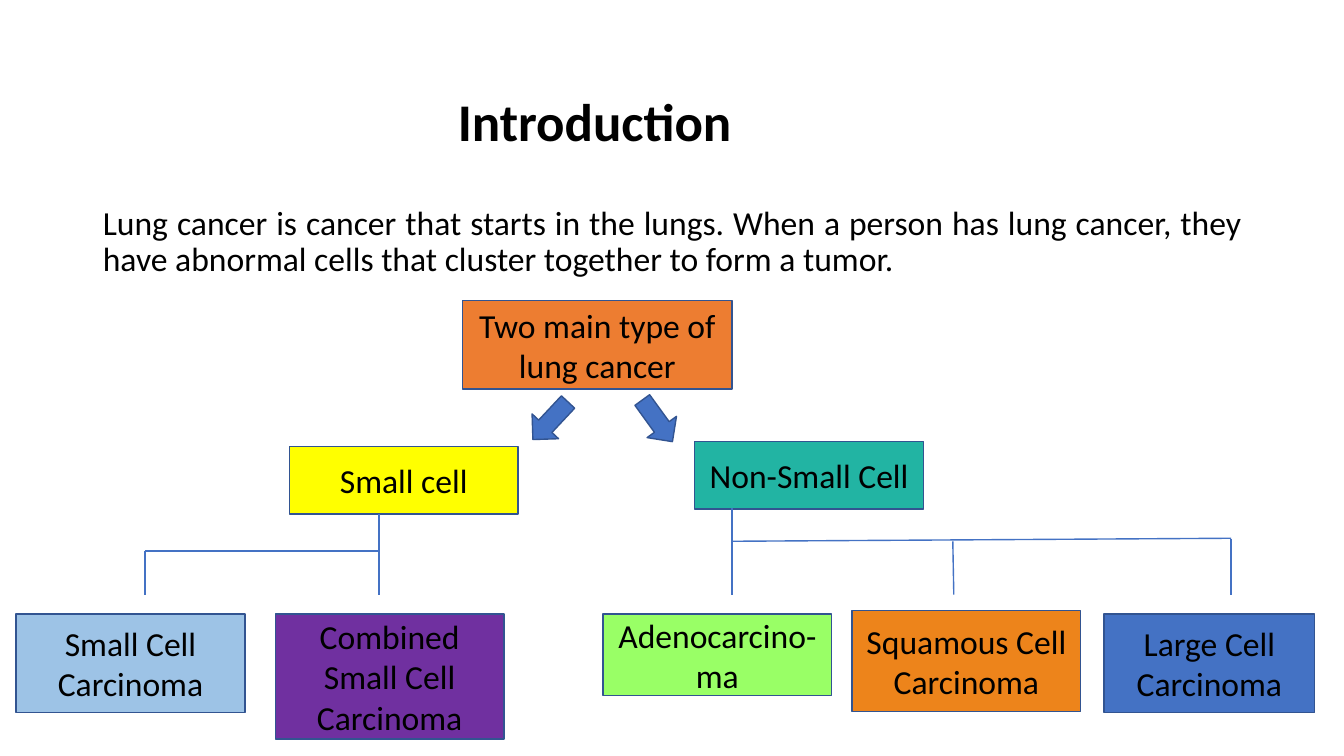
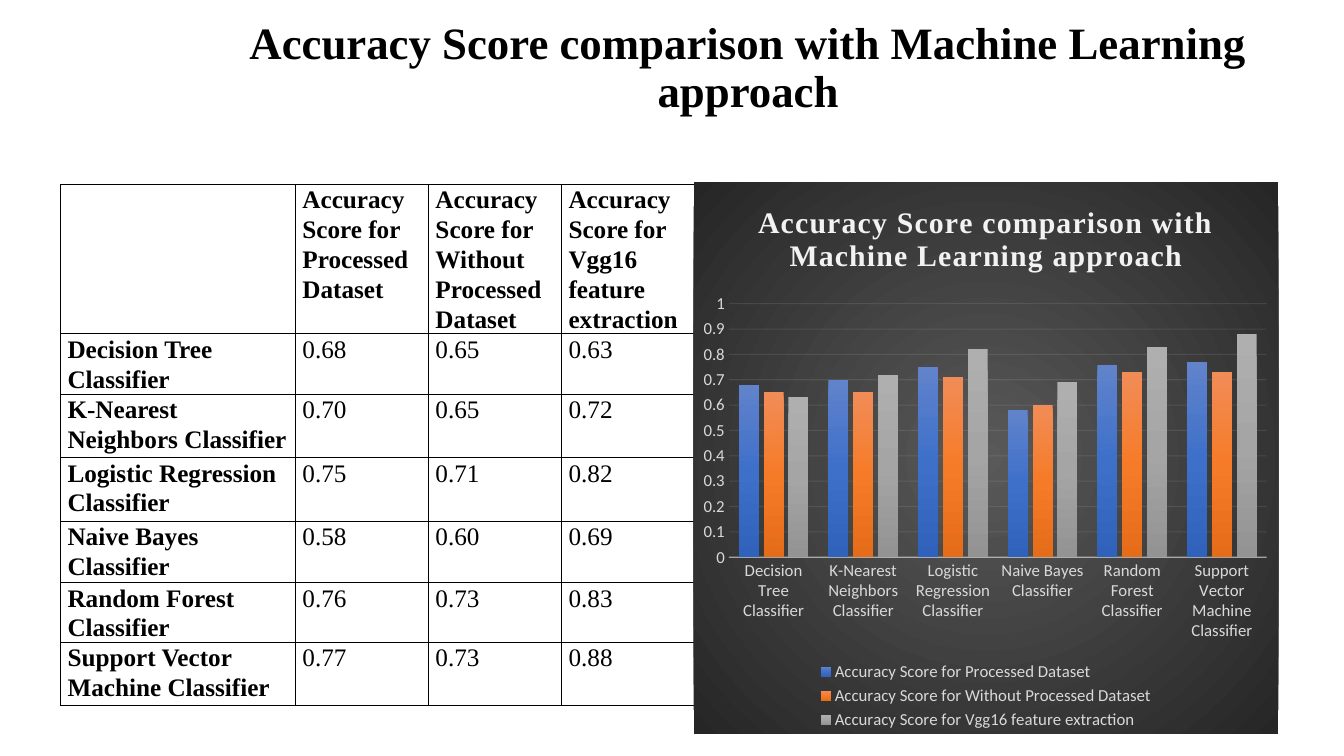
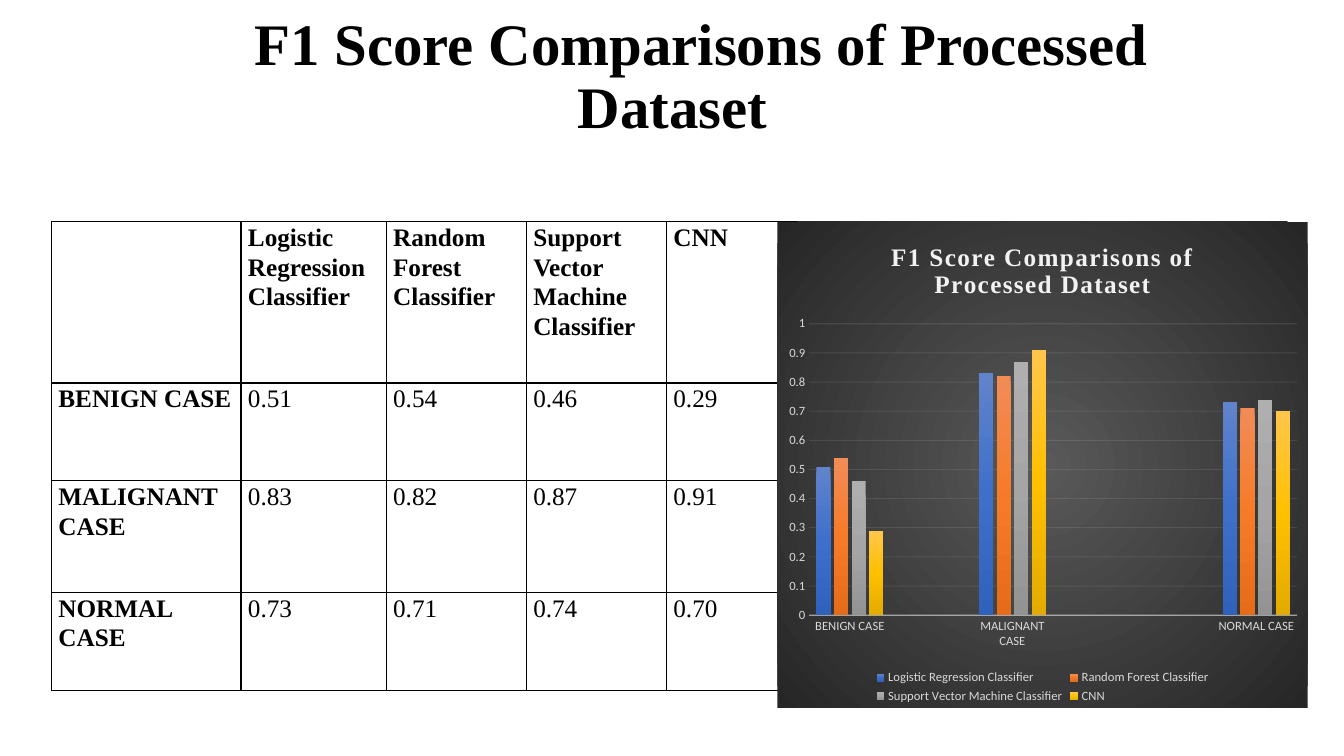
from dataclasses import dataclass

from lxml import etree
from pptx import Presentation
from pptx.chart.data import CategoryChartData
from pptx.dml.color import RGBColor
from pptx.enum.chart import XL_CHART_TYPE, XL_LEGEND_POSITION, XL_TICK_MARK
from pptx.enum.shapes import MSO_CONNECTOR, MSO_SHAPE
from pptx.enum.text import MSO_ANCHOR, MSO_AUTO_SIZE, PP_ALIGN
from pptx.oxml import parse_xml
from pptx.oxml.ns import nsdecls, qn
from pptx.util import Inches, Pt

RECT, DOWN_ARROW = MSO_SHAPE.RECTANGLE, MSO_SHAPE.DOWN_ARROW
STRAIGHT = MSO_CONNECTOR.STRAIGHT
LEFT, CENTER, JUSTIFY = PP_ALIGN.LEFT, PP_ALIGN.CENTER, PP_ALIGN.JUSTIFY
TOP, MIDDLE = MSO_ANCHOR.TOP, MSO_ANCHOR.MIDDLE
NO_FIT = MSO_AUTO_SIZE.NONE
COLUMNS, BOTTOM = XL_CHART_TYPE.COLUMN_CLUSTERED, XL_LEGEND_POSITION.BOTTOM
NO_TICK = XL_TICK_MARK.NONE


@dataclass(frozen=True)
class Theme:
    sans: str = "Calibri"
    serif: str = "Times New Roman"
    ink: str = "000000"
    blue: str = "4472C4"
    outline: str = "325491"
    chart_text: str = "D9D9D9"
    chart_title: str = "F2F2F2"
    chart_line: str = "F2F2F2"
    backdrop: tuple = ("595959", "262626")
    series: tuple = (
        ("6183CB", "3E70CA", "3062BB"),
        ("F18C57", "F67B28", "E56C19"),
        ("AFAFAF", "A5A5A5", "939393"),
        ("FFC64B", "FFC000", "E3AB00"),
    )
    body: float = 24
    cell: float = 18


T = Theme()


def rgb(value):
    return RGBColor.from_string(value)


def assign(obj, **values):
    for name, value in values.items():
        setattr(obj, name, value)


def set_font(font, name, size, color=T.ink, bold=False):
    assign(font, name=name, size=Pt(size), bold=bold)
    font.color.rgb = rgb(color)


def inches(box):
    return [Inches(v) for v in box]


def place(sp, box):
    left, top, width, height = inches(box)
    assign(sp, left=left, top=top, width=width, height=height)


def write(tf, text, font, size, bold=False, align=LEFT, spacing=1.0):
    p = tf.paragraphs[0]
    assign(p, alignment=align, line_spacing=spacing)
    r = p.add_run()
    r.text = text
    set_font(r.font, name=font, size=size, bold=bold)
    return p


def fill_placeholder(sp, box, text, font, size, anchor=MIDDLE, **style):
    place(sp, box)
    assign(sp.text_frame, word_wrap=True, auto_size=NO_FIT, vertical_anchor=anchor)
    return write(sp.text_frame, text, font, size, spacing=0.9, **style)


def add_title(s, box, text, font, size, align=CENTER):
    return fill_placeholder(s.shapes.title, box, text, font, size, bold=True, align=align)


def add_body(s, box, text):
    p = fill_placeholder(s.placeholders[1], box, text, T.sans, T.body,
                         anchor=TOP, align=JUSTIFY)
    p.space_before = Pt(10)
    pPr = p._p.get_or_add_pPr()
    pPr.set("marL", "0")
    pPr.set("indent", "0")
    etree.SubElement(pPr, qn("a:buNone"))


def add_block(s, kind, box, fill, text="", rotation=0):
    sp = s.shapes.add_shape(kind, *inches(box))
    sp.shadow.inherit = False
    sp.rotation = rotation
    sp.fill.solid()
    sp.fill.fore_color.rgb = rgb(fill)
    sp.line.color.rgb = rgb(T.outline)
    sp.line.width = Pt(1)
    if text:
        sp.text_frame.word_wrap = True
        write(sp.text_frame, text, T.sans, T.body, align=CENTER)


def add_line(s, x1, y1, x2, y2, width=1.0):
    line = s.shapes.add_connector(STRAIGHT, *inches((x1, y1, x2, y2)))
    line.line.color.rgb = rgb(T.blue)
    line.line.width = Pt(width)
    etree.SubElement(line._element.spPr, qn("a:effectLst"))


def add_cancer_tree(s, left, top):
    boxes = [
        (4.43, 0, 2.67, 0.88, "ED7D31", "Two main type of lung cancer"),
        (2.71, 1.45, 2.27, 0.67, "FFFF00", "Small cell"),
        (6.73, 1.4, 2.27, 0.67, "22B4A3", "Non-Small Cell"),
        (0, 3.11, 2.27, 0.98, "9DC3E6", "Small Cell Carcinoma"),
        (2.57, 3.11, 2.27, 1.24, "7030A0", "Combined Small Cell Carcinoma"),
        (5.82, 3.11, 2.27, 0.81, "99FF66", "Adenocarcino-ma"),
        (8.29, 3.08, 2.27, 1, "ED841B", "Squamous Cell Carcinoma"),
        (10.79, 3.11, 2.09, 0.98, T.blue, "Large Cell Carcinoma"),
    ]
    for x, y, w, h, fill, text in boxes:
        add_block(s, RECT, (left + x, top + y, w, h), fill, text)
    for x, rotation in ((5.12, 43.1), (6.18, 324.1)):
        add_block(s, DOWN_ARROW, (left + x, top + 0.94, 0.36, 0.51), T.blue, rotation=rotation)
    branches = [
        (3.6, 2.12, 3.6, 2.92, 1.5),
        (3.6, 2.49, 1.28, 2.49, 1.5),
        (1.28, 2.49, 1.28, 2.92, 1),
        (7.1, 2.06, 7.1, 2.92, 1),
        (7.1, 2.39, 12.05, 2.36, 1),
        (9.29, 2.39, 9.3, 2.92, 1),
        (12.05, 2.37, 12.05, 2.92, 1),
    ]
    for x1, y1, x2, y2, width in branches:
        add_line(s, left + x1, top + y1, left + x2, top + y2, width)


def border_cell(cell):
    tcPr = cell._tc.get_or_add_tcPr()
    for i, side in enumerate("LRTB"):
        tcPr.insert(i, parse_xml(
            f'<a:ln{side} {nsdecls("a")} w="12700"><a:solidFill>'
            f'<a:srgbClr val="{T.ink}"/></a:solidFill></a:ln{side}>'))


def add_scores_table(s, left, top, widths, heights, head, rows):
    grid = [["", *head]] + [[name, *(f"{v:.2f}" for v in values)] for name, values in rows]
    frame = s.shapes.add_table(len(heights), len(widths),
                               *inches((left, top, sum(widths), sum(heights))))
    table = frame.table
    assign(table, first_row=False, horz_banding=False)
    for col, width in zip(table.columns, widths):
        col.width = Inches(width)
    for i, (row, height) in enumerate(zip(table.rows, heights)):
        row.height = Inches(height)
        for j, cell in enumerate(row.cells):
            assign(cell, margin_left=Inches(0.07), margin_right=Inches(0.07),
                   margin_top=0, margin_bottom=0)
            cell.fill.background()
            border_cell(cell)
            write(cell.text_frame, grid[i][j], T.serif, T.cell,
                  bold=i == 0 or j == 0, spacing=1.07)


def gradient(colors, direction):
    step = 100000 // (len(colors) - 1)
    stops = "".join(f'<a:gs pos="{i * step}"><a:srgbClr val="{c}"/></a:gs>'
                    for i, c in enumerate(colors))
    return parse_xml(f'<a:gradFill {nsdecls("a")} rotWithShape="1">'
                     f'<a:gsLst>{stops}</a:gsLst>{direction}</a:gradFill>')


def style_chart_fills(chart):
    root = chart.element
    spPr = parse_xml(f'<c:spPr {nsdecls("c", "a")}><a:ln><a:noFill/></a:ln></c:spPr>')
    spPr.insert(0, gradient(T.backdrop, '<a:path path="circle"><a:fillToRect l="50000" '
                                        't="50000" r="50000" b="50000"/></a:path>'))
    root.find(qn("c:chart")).addnext(spPr)
    for solid, colors in zip(root.xpath(".//c:ser/c:spPr/a:solidFill"), T.series):
        solid.getparent().replace(solid, gradient(colors, '<a:lin ang="5400000" scaled="0"/>'))
    for part, opacity in (("c:catAx/c:spPr", 54000), ("c:majorGridlines/c:spPr", 10000)):
        for color in root.xpath(f".//{part}/a:ln//a:srgbClr"):
            etree.SubElement(color, qn("a:alpha")).set("val", str(opacity))


def set_plot_area(chart, area):
    plot = chart.element.xpath(".//c:plotArea")[0]
    for old in plot.findall(qn("c:layout")):
        plot.remove(old)
    sizes = "".join(f'<c:{k} val="{v}"/>' for k, v in zip("xywh", area))
    plot.insert(0, parse_xml(
        f'<c:layout {nsdecls("c")}><c:manualLayout><c:layoutTarget val="inner"/>'
        f'<c:xMode val="edge"/><c:yMode val="edge"/>{sizes}</c:manualLayout></c:layout>'))


def add_scores_chart(s, box, title, title_size, size, cats, series, area):
    data = CategoryChartData()
    data.categories = cats
    for name, values in series:
        data.add_series(name, values)
    chart = s.shapes.add_chart(COLUMNS, *inches(box), data).chart
    set_font(chart.font, T.sans, size, T.chart_text)
    assign(chart, has_title=True, has_legend=True)
    p = chart.chart_title.text_frame.paragraphs[0]
    r = p.add_run()
    r.text = title
    set_font(r.font, T.serif, title_size, T.chart_title, bold=True)
    r._r.get_or_add_rPr().set("spc", "100")
    assign(chart.legend, position=BOTTOM, include_in_layout=False)
    set_font(chart.legend.font, T.sans, size, T.chart_text)
    for axis in (chart.category_axis, chart.value_axis):
        assign(axis, major_tick_mark=NO_TICK, minor_tick_mark=NO_TICK)
        set_font(axis.tick_labels.font, T.sans, size, T.chart_text)
    assign(chart.value_axis, minimum_scale=0, maximum_scale=1, major_unit=0.1,
           has_major_gridlines=True)
    chart.value_axis.format.line.fill.background()
    grid = chart.value_axis.major_gridlines.format.line
    for line, width in ((chart.category_axis.format.line, 1), (grid, 0.75)):
        line.color.rgb = rgb(T.chart_line)
        line.width = Pt(width)
    plot = chart.plots[0]
    assign(plot, gap_width=100, overlap=-24, vary_by_categories=False)
    for ser in plot.series:
        ser.format.fill.solid()
        ser.format.fill.fore_color.rgb = rgb(T.blue)
    style_chart_fills(chart)
    set_plot_area(chart, area)


def introduction_slide(prs):
    s = prs.slides.add_slide(prs.slide_layouts[1])
    add_title(s, (4.44, 0.61, 3.18, 1.24), "Introduction", T.sans, 37.8, align=LEFT)
    add_body(s, (0.92, 2, 11.5, 4.76),
             "Lung cancer is cancer that starts in the lungs. When a person has lung cancer, "
             "they have abnormal cells that cluster together to form a tumor.")
    add_cancer_tree(s, 0.16, 2.98)


def accuracy_slide(prs):
    s = prs.slides.add_slide(prs.slide_layouts[5])
    title = "Accuracy Score comparison with Machine Learning approach"
    head = [f"Accuracy Score for {kind}" for kind in
            ("Processed Dataset", "Without Processed Dataset", "Vgg16 feature extraction")]
    rows = [
        ("Decision Tree Classifier", (0.68, 0.65, 0.63)),
        ("K-Nearest Neighbors Classifier", (0.7, 0.65, 0.72)),
        ("Logistic Regression Classifier", (0.75, 0.71, 0.82)),
        ("Naive Bayes Classifier", (0.58, 0.6, 0.69)),
        ("Random Forest Classifier", (0.76, 0.73, 0.83)),
        ("Support Vector Machine Classifier", (0.77, 0.73, 0.88)),
    ]
    cats, scores = zip(*rows)
    add_title(s, (1.67, 0.15, 11.5, 1.07), title, T.serif, 32)
    add_scores_table(s, 0.6, 1.83, [2.33] + [1.32] * 3,
                     [1.48, 0.6, 0.63, 0.63, 0.61, 0.59, 0.63], head, rows)
    add_scores_chart(s, (6.88, 1.81, 5.8, 5.47), title, 21.3, 12, cats,
                     list(zip(head, zip(*scores))), (0.06, 0.22, 0.92, 0.46))


def f1_slide(prs):
    s = prs.slides.add_slide(prs.slide_layouts[5])
    title = "F1 Score Comparisons of Processed Dataset"
    head = ["Logistic Regression Classifier", "Random Forest Classifier",
            "Support Vector Machine Classifier", "CNN"]
    rows = [
        ("BENIGN CASE", (0.51, 0.54, 0.46, 0.29)),
        ("MALIGNANT CASE", (0.83, 0.82, 0.87, 0.91)),
        ("NORMAL CASE", (0.73, 0.71, 0.74, 0.7)),
    ]
    gap = ("", (None,) * len(head))
    cats, scores = zip(rows[0], gap, rows[1], gap, gap, rows[2])
    p = add_title(s, (0.92, 0.05, 11.5, 1.45), title, T.serif, 42)
    p._p.get_or_add_pPr().set("indent", str(Inches(0.57)))
    add_scores_table(s, 0.51, 2.2, [1.88, 1.44, 1.39, 1.39, 1.36],
                     [1.6, 0.97, 1.11, 0.97], head, rows)
    add_scores_chart(s, (7.71, 2.2, 5.26, 4.82), title, 18, 9, cats,
                     list(zip(head, zip(*scores))), (0.06, 0.21, 0.92, 0.6))


def main():
    prs = Presentation()
    assign(prs, slide_width=Inches(13.33), slide_height=Inches(7.5))
    for build in (introduction_slide, accuracy_slide, f1_slide):
        build(prs)
    prs.save("out.pptx")


if __name__ == "__main__":
    main()
